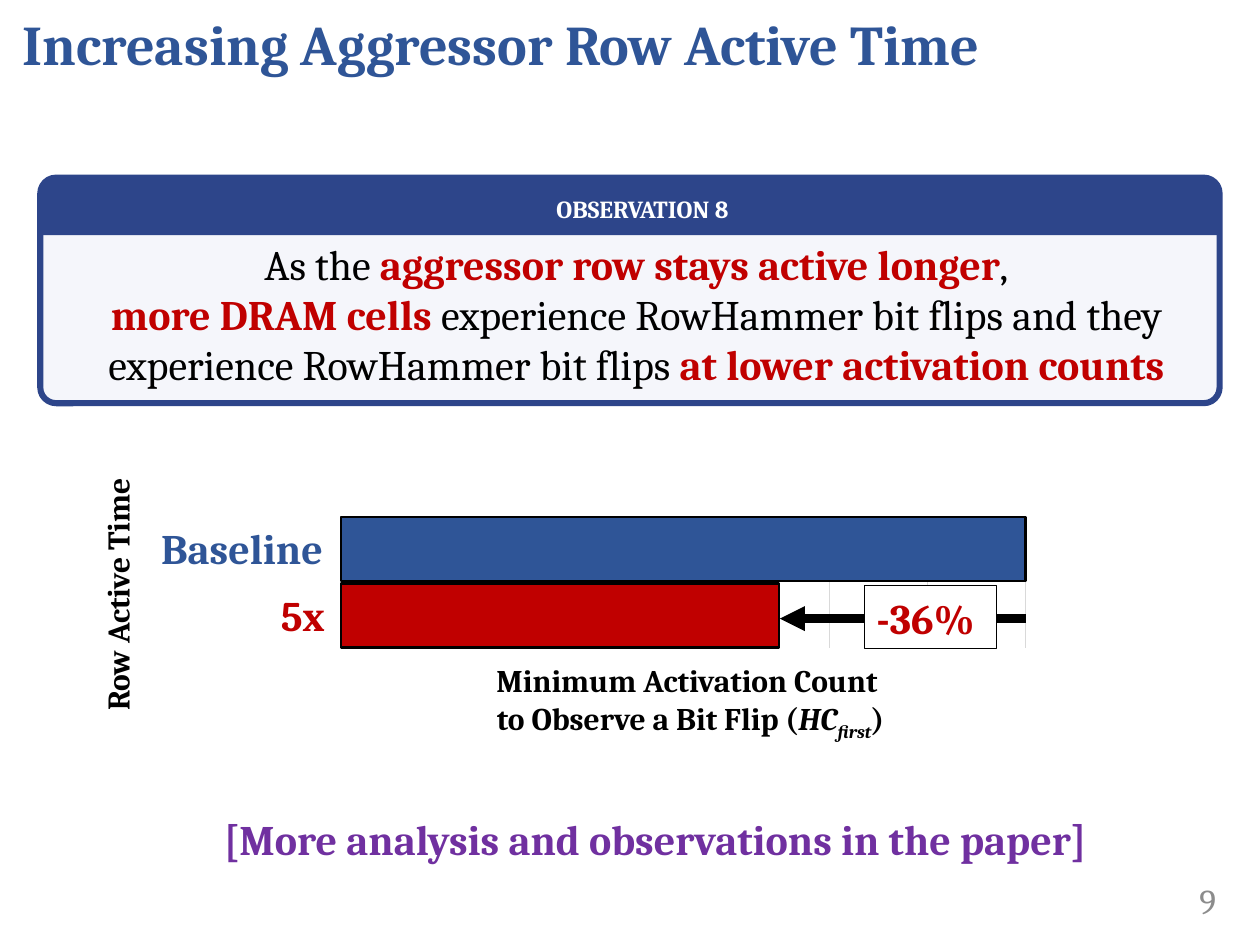
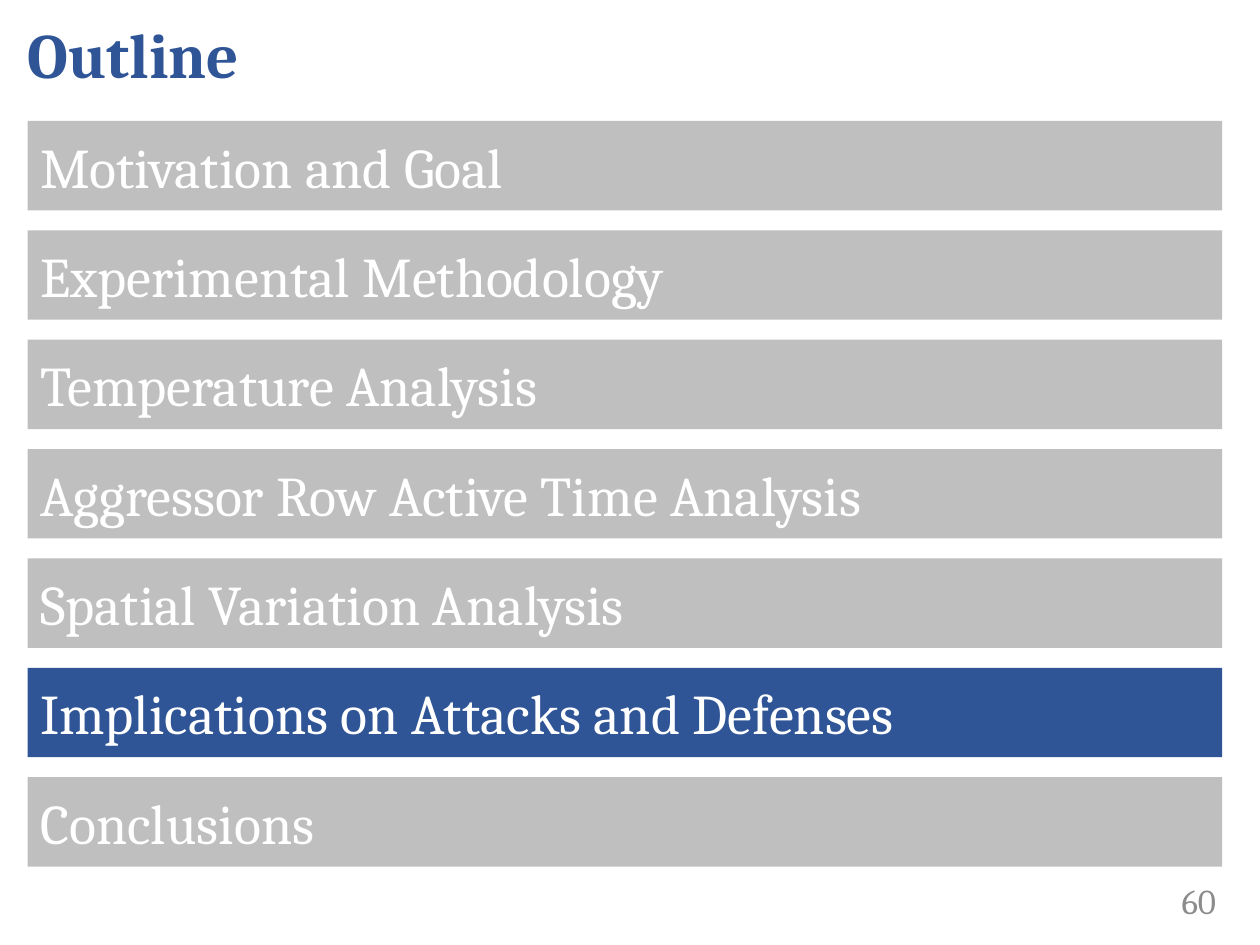
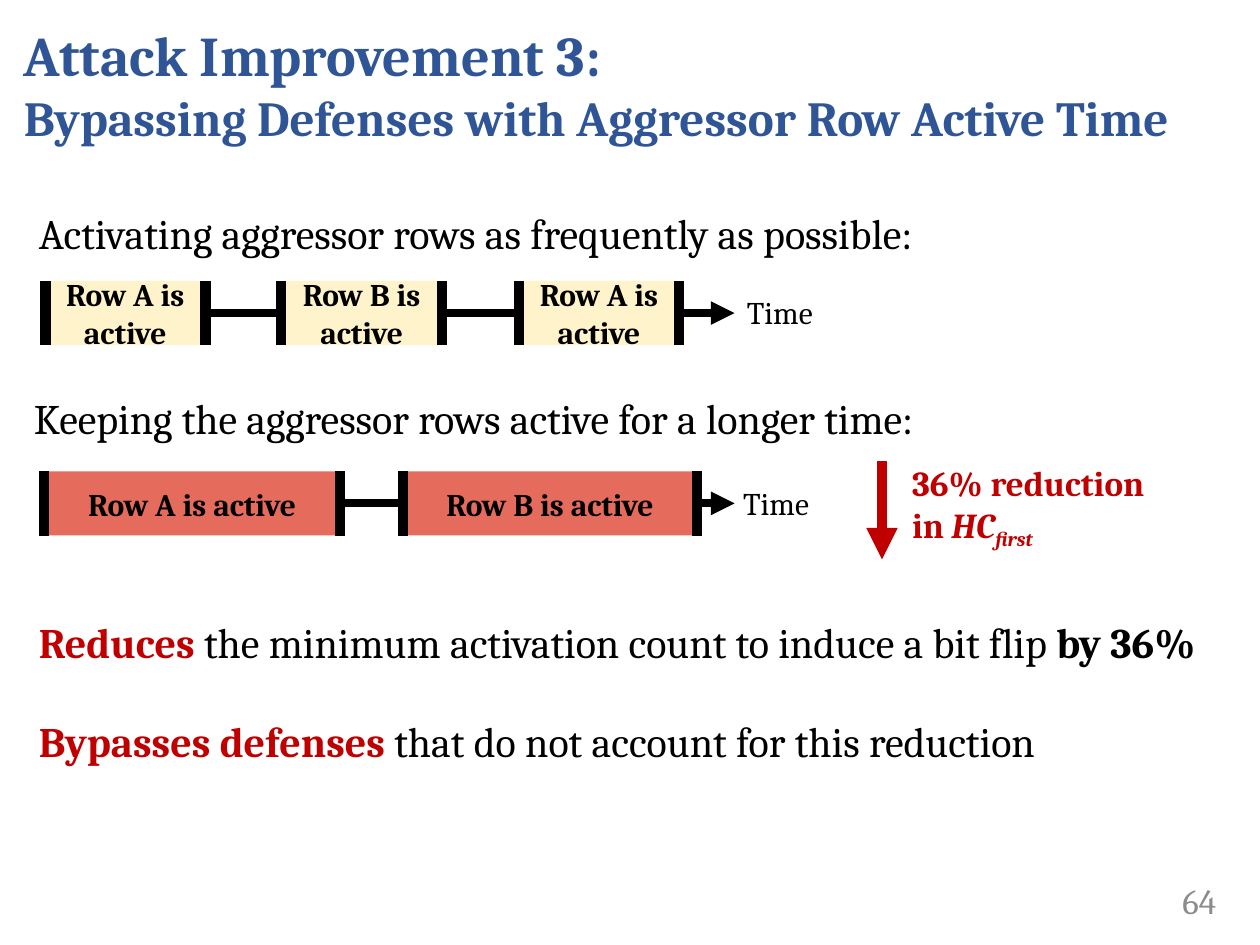
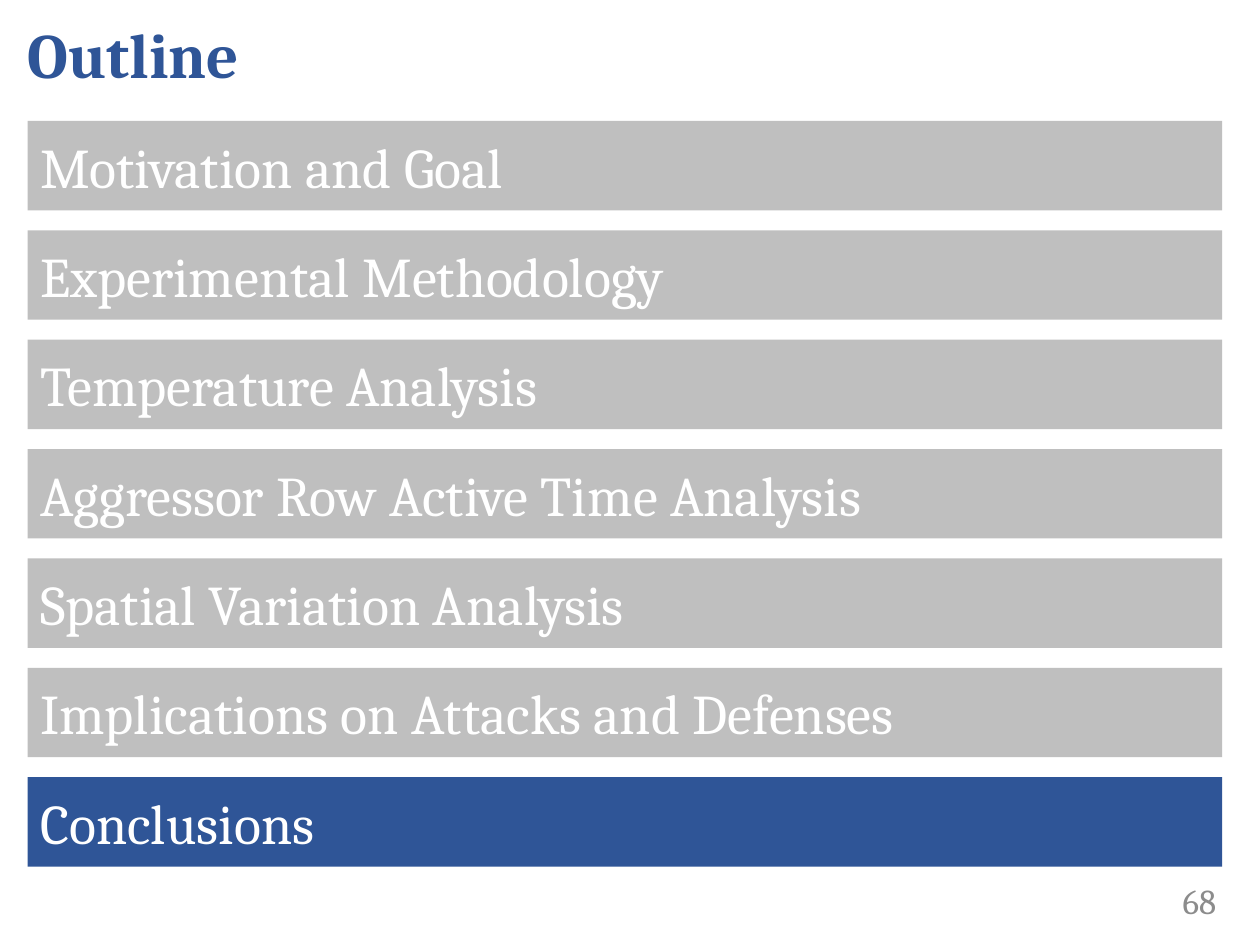
"""Build four slides on RowHammer and aggressor row active time."""
from lxml import etree
from pptx import Presentation
from pptx.chart.data import CategoryChartData
from pptx.dml.color import RGBColor
from pptx.enum.chart import XL_CHART_TYPE
from pptx.enum.shapes import MSO_CONNECTOR, MSO_SHAPE
from pptx.enum.text import MSO_ANCHOR, PP_ALIGN
from pptx.oxml import parse_xml
from pptx.oxml.ns import nsdecls, qn
from pptx.util import Inches, Pt

LEFT, MID, RIGHT = PP_ALIGN.LEFT, PP_ALIGN.CENTER, PP_ALIGN.RIGHT
RECT, ROUND, TAB = MSO_SHAPE.RECTANGLE, MSO_SHAPE.ROUNDED_RECTANGLE, MSO_SHAPE.ROUND_2_SAME_RECTANGLE
TOP, CENTER = MSO_ANCHOR.TOP, MSO_ANCHOR.MIDDLE
STRAIGHT, BARS = MSO_CONNECTOR.STRAIGHT, XL_CHART_TYPE.BAR_CLUSTERED
FONT = "Cambria"
HUES = {
    "ink": "000000", "white": "FFFFFF", "blue": "2F5597", "red": "C00000",
    "navy": "2D458A", "pale": "F5F6FB", "plum": "7030A0", "gray": "BFBFBF",
    "page": "8C8C8C", "grid": "D9D9D9", "cream": "FFF3CC", "coral": "E56B5C",
}
RGB = {name: RGBColor.from_string(code) for name, code in HUES.items()}

prs = Presentation()
prs.slide_width, prs.slide_height = Inches(10), Inches(7.5)
UNIT = prs.slide_width // 100
BLANK = prs.slide_layouts[6]


def box(page, at, paras, size=24, hue="ink", bold=False, align=LEFT, kind=None,
        fill=None, edge=None, thick=1, anchor=TOP, wrap=True, gap=0):
    """Place text, in a shape if kind is given; at counts grid columns and rows."""
    place = [round(n * UNIT) for n in at]
    if kind is None:
        item = page.shapes.add_textbox(*place)
    else:
        item = page.shapes.add_shape(kind, *place)
        item.shadow.inherit = False
        item.fill.solid()
        item.fill.fore_color.rgb = RGB[fill]
        if edge:
            item.line.color.rgb = RGB[edge]
            item.line.width = Pt(thick)
        else:
            item.line.fill.background()
    frame = item.text_frame
    frame.word_wrap, frame.vertical_anchor = wrap, anchor
    for rank, runs in enumerate(paras):
        para = frame.add_paragraph() if rank else frame.paragraphs[0]
        para.alignment = align
        if rank and gap:
            para.space_before = Pt(gap)
        font = para.font
        font.name, font.size, font.bold = FONT, Pt(size), bold
        font.color.rgb = RGB[hue]
        for words, tint, marks in [(runs, None, "")] if isinstance(runs, str) else runs:
            if words == "\n":
                para.add_line_break()
                continue
            run = para.add_run()
            run.text = words
            if tint:
                run.font.color.rgb = RGB[tint]
            if "b" in marks:
                run.font.bold = True
            if "i" in marks:
                run.font.italic = True
            if "s" in marks:
                run._r.get_or_add_rPr().set("baseline", "-25000")
    return item


def line(page, start, end, thick, hue="ink", arrow=False):
    """Draw a straight line between two grid points."""
    item = page.shapes.add_connector(STRAIGHT, *[round(n * UNIT) for n in start + end])
    item.line.width = Pt(thick)
    item.line.color.rgb = RGB[hue]
    if arrow:
        etree.SubElement(item.line._get_or_add_ln(), qn("a:tailEnd"), type="triangle")
    etree.SubElement(item._element.spPr, qn("a:effectLst"))


pages = []
for number, title, at, size in [
    ("9", ["Increasing Aggressor Row Active Time"], (0.8, 0.6, 98.3, 5.7), 32),
    ("60", ["Outline"], (1.2, 0, 97.1, 8.4), 36),
    ("64", [[("Attack Improvement 3:", None, ""), ("\n", None, ""),
             ("Bypassing Defenses with Aggressor Row Active Time", None, "")]],
     (0.9, 2.4, 96.2, 8.4), 32),
    ("68", ["Outline"], (1.2, 0, 97.1, 8.4), 36),
]:
    page = prs.slides.add_slide(BLANK)
    box(page, (86.7, 69.5, 10.8, 4), [number], 20, "page", align=RIGHT, anchor=CENTER)
    head = box(page, at, title, size, "blue", True, anchor=CENTER)
    for run in head.text_frame.paragraphs[0].runs[1:]:
        run.font.size = Pt(28)
    pages.append(page)
finding, outline, attack, closing = pages

card = box(finding, (3.2, 14.1, 93.6, 17.9), [], kind=ROUND, fill="pale", edge="navy", thick=3.5)
card.adjustments[0] = 0.07
band = box(finding, (3.2, 14.1, 93.6, 4.5), ["OBSERVATION 8"], 14, "white", True, MID,
           TAB, "navy", "navy", anchor=CENTER)
band.adjustments[0], band.adjustments[1] = 0.34, 0
band.text_frame.margin_right = band.text_frame.margin_top = band.text_frame.margin_bottom = 0
note = box(finding, (3.2, 18.4, 93.6, 12.1), [[
    ("As the ", None, ""), ("aggressor row stays active longer", "red", "b"),
    (",", None, ""), ("\n", None, ""), ("more DRAM cells ", "red", "b"),
    ("experience RowHammer bit flips and they experience RowHammer bit flips ", None, ""),
    ("at lower activation counts", "red", "b")]], align=MID)
for item in (band, note):
    item.text_frame.margin_left = 2 * UNIT
box(finding, (13, 64.1, 78, 5), ["[More analysis and observations in the paper]"],
    hue="plum", bold=True, align=MID)

data = CategoryChartData()
data.categories = ["1"]
data.add_series("Series 1", [64])
data.add_series("Series 2", [100])
chart = finding.shapes.add_chart(
    BARS, *[round(n * UNIT) for n in (14.8, 39.7, 66.7, 15.4)], data).chart
chart.has_legend = chart.has_title = False
chart.font.name, chart.font.size = FONT, Pt(10)
chart.font.color.rgb = RGB["ink"]
chart.category_axis.visible = False
scale = chart.value_axis
scale.visible, scale.has_major_gridlines = False, True
scale.minimum_scale, scale.maximum_scale, scale.major_unit = 0, 100, 14.28
scale.major_gridlines.format.line.color.rgb = RGB["grid"]
scale.major_gridlines.format.line.width = Pt(0.75)
plot = chart.plots[0]
plot.gap_width, plot.overlap, plot.vary_by_categories = 3, -4, False
for bar, hue in zip(plot.series, ("red", "blue")):
    bar.format.fill.solid()
    bar.format.fill.fore_color.rgb = RGB[hue]
    bar.format.line.color.rgb = RGB["ink"]
    bar.format.line.width = Pt(1.5)
area = chart._chartSpace.chart.plotArea
for old in area.findall(qn("c:layout")):
    area.remove(old)
area.insert(0, parse_xml(
    f'<c:layout {nsdecls("c")}><c:manualLayout><c:layoutTarget val="inner"/>'
    '<c:xMode val="edge"/><c:yMode val="edge"/><c:x val="0.184"/><c:y val="0.082"/>'
    '<c:w val="0.816"/><c:h val="0.682"/></c:manualLayout></c:layout>'))

box(finding, (24.2, 53, 61.2, 5.4), ["Minimum Activation Count ", [
    ("to Observe a Bit Flip (", None, ""), ("HC", None, "i"),
    ("first", None, "is"), (")", None, "")]], 18, bold=True, align=MID, anchor=CENTER)
for words, at, hue in [("Baseline", (11.8, 41, 15.3, 5), "blue"),
                       ("5x", (21.3, 46.3, 5.8, 5), "red")]:
    box(finding, at, [words], hue=hue, bold=True, wrap=False)
side = box(finding, (-1.3, 44.8, 21.2, 4), ["Row Active Time"], 18, bold=True, wrap=False)
side.rotation = 270
line(finding, (81.4, 49.1), (61.9, 49.1), 4.75, arrow=True)
box(finding, (68.6, 46.5, 10.5, 5), ["-36%"], hue="red", bold=True,
    kind=RECT, fill="white", edge="ink", thick=0.75)

TOPICS = ["Motivation and Goal", "Experimental Methodology", "Temperature Analysis",
          "Aggressor Row Active Time Analysis", "Spatial Variation Analysis",
          "Implications on Attacks and Defenses", "Conclusions"]
for page, now in [(outline, 5), (closing, 6)]:
    for rank, topic in enumerate(TOPICS):
        box(page, (2.2, 9.6 + 8.68 * rank, 94.8, 7.1), [topic], 32, "white", kind=RECT,
            fill="blue" if rank == now else "gray", anchor=CENTER)

TALL = 5.1
for label, at, top, fill, spans, time in [
    ("Activating aggressor rows as frequently as possible:", (2.1, 16, 76, 5), 22.3, "cream",
     [("A", 3.6, 16.3), ("B", 22.3, 35.1), ("A", 41.2, 53.9)], 58.3),
    ("Keeping the aggressor rows active for a longer time:", (1.7, 30.7, 76.3, 5), 37.4, "coral",
     [("A", 3.5, 27), ("B", 32, 55.3)], 58),
]:
    line(attack, (3.2, top + TALL / 2), (58.3, top + TALL / 2), 4.5, arrow=True)
    box(attack, (time, top + 0.5, 7.5, 4), ["Time"], 18, wrap=False)
    for row, start, end in spans:
        box(attack, (start, top, end - start, TALL), [f"Row {row} is active"], 18, bold=True,
            align=MID, kind=RECT, fill=fill, anchor=CENTER)
        for edge in (start, end):
            line(attack, (edge, top), (edge, top + TALL), 6)
    box(attack, at, [label], wrap=False)

line(attack, (70, 36.6), (70, 44.4), 6, "red", True)
box(attack, (71.4, 36.1, 21.3, 7.7), [[
    ("36% reduction", None, ""), ("\n", None, ""), ("in ", None, ""),
    ("HC", None, "i"), ("first", None, "is")]], 20, "red", True)
box(attack, (2.1, 48.4, 97, 13.1), [
    [("Reduces", "red", "b"), (" the minimum activation count to induce a bit flip ", None, ""),
     ("by 36%", None, "b")],
    [("Bypasses defenses ", "red", "b"), ("that do not account for this reduction", None, "")],
], gap=28)

prs.save("out.pptx")
